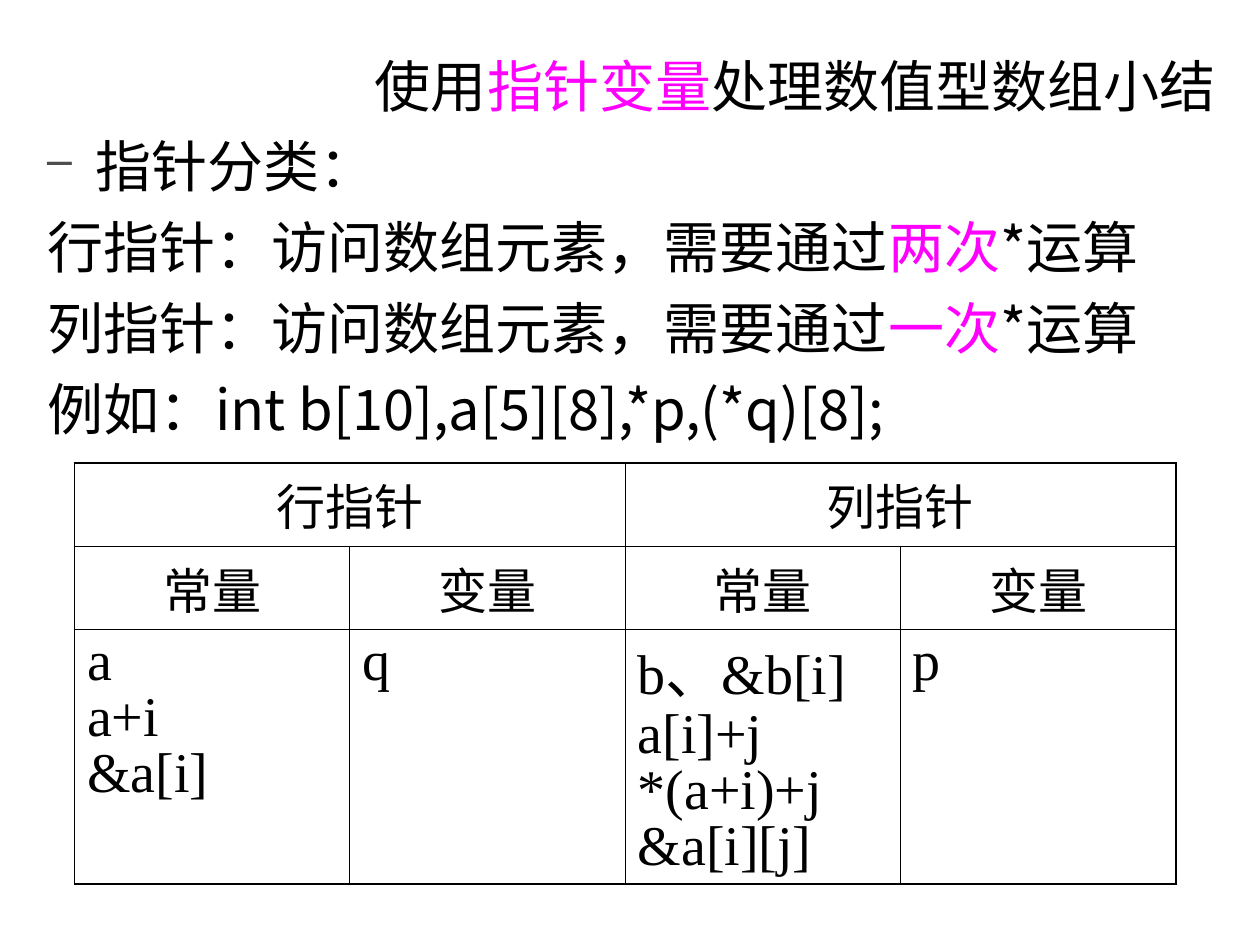
from lxml.etree import SubElement
from pptx import Presentation
from pptx.dml.color import RGBColor
from pptx.enum.text import MSO_ANCHOR, PP_ALIGN
from pptx.oxml.ns import qn
from pptx.util import Cm, Pt

BLACK = RGBColor(0x00, 0x00, 0x00)
MAGENTA = RGBColor(0xFF, 0x00, 0xFF)
GREY = RGBColor(0x4D, 0x4D, 0x4D)
SANS = "Noto Sans CJK SC"
SERIF = "Times New Roman"
OUTER, INNER = 1.08, 0.45


def add_span(para, text, *, size=32, font=SANS, color=BLACK):
    span = para.add_run()
    span.text = text
    span.font.size = Pt(size)
    span.font.name = font
    span.font.color.rgb = color
    SubElement(span._r.get_or_add_rPr(), qn("a:ea")).set("typeface", SANS)


def next_para(frame, index):
    return frame.add_paragraph() if index else frame.paragraphs[0]


def set_hanging(para, bullet=None):
    props = para._p.get_or_add_pPr()
    props.set("marL", str(Cm(0.97)))
    props.set("indent", str(-Cm(0.97)))
    if bullet:
        color = SubElement(props, qn("a:buClr"))
        SubElement(color, qn("a:srgbClr")).set("val", str(GREY))
        SubElement(props, qn("a:buSzPct")).set("val", "80000")
        SubElement(props, qn("a:buChar")).set("char", bullet)
    else:
        SubElement(props, qn("a:buNone"))


def add_title(page, left, top, width, height):
    box = page.shapes.add_textbox(left, top, width, height)
    frame = box.text_frame
    frame.word_wrap = True
    frame.margin_right = 0
    para = frame.paragraphs[0]
    add_span(para, "使用", font=SERIF)
    add_span(para, "指针变量", font=SERIF, color=MAGENTA)
    add_span(para, "处理数值型数组小结", font=SERIF)


def add_body(page, left, top, width, height):
    lines = [
        ["指针分类："],
        ["行指针：访问数组元素，需要通过", "两次", "*运算"],
        ["列指针：访问数组元素，需要通过", "一次", "*运算"],
        ["例如：int b[10],a[5][8],*p,(*q)[8];"],
    ]
    box = page.shapes.add_textbox(left, top, width, height)
    frame = box.text_frame
    frame.word_wrap = True
    frame.vertical_anchor = MSO_ANCHOR.TOP
    for index, parts in enumerate(lines):
        para = next_para(frame, index)
        set_hanging(para, bullet=None if index else "–")
        if index:
            para.space_before = Pt(8)
        for position, text in enumerate(parts):
            add_span(para, text, color=MAGENTA if position == 1 else BLACK)


def set_borders(cell, widths):
    props = cell._tc.get_or_add_tcPr()
    for side, width in zip("LRTB", widths):
        line = SubElement(props, qn(f"a:ln{side}"))
        line.set("w", str(Pt(width)))
        fill = SubElement(line, qn("a:solidFill"))
        SubElement(fill, qn("a:srgbClr")).set("val", str(BLACK))


def fill_cell(cell, lines, *, heading):
    for index, text in enumerate(lines):
        para = next_para(cell.text_frame, index)
        if heading:
            para.alignment = PP_ALIGN.CENTER
        else:
            para.line_spacing = 0.9
        add_span(para, text, size=28 if heading else 32, font=SERIF)


def add_pointer_table(page, left, top, width, row_heights):
    rows = [
        [["行指针"], [], ["列指针"], []],
        [["常量"], ["变量"], ["常量"], ["变量"]],
        [
            ["a", "a+i", "&a[i]"],
            ["q"],
            ["b、&b[i]", "a[i]+j", "*(a+i)+j", "&a[i][j]"],
            ["p"],
        ],
    ]
    last_row, last_column = len(rows) - 1, len(rows[0]) - 1
    frame = page.shapes.add_table(
        len(rows), len(rows[0]), left, top, width, sum(row_heights)
    )
    table = frame.table
    table.first_row = False
    table.horz_banding = False
    for row, height in zip(table.rows, row_heights):
        row.height = height
    for column in table.columns:
        column.width = width // len(rows[0])
    for c in (0, 2):
        table.cell(0, c).merge(table.cell(0, c + 1))
    for r, row in enumerate(rows):
        for c, lines in enumerate(row):
            cell = table.cell(r, c)
            right = c + cell.span_width - 1 if cell.is_merge_origin else c
            edges = (c == 0, right == last_column, r == 0, r == last_row)
            set_borders(cell, [OUTER if edge else INNER for edge in edges])
            cell.fill.background()
            fill_cell(cell, lines, heading=r < last_row)


def main():
    deck = Presentation()
    deck.slide_width, deck.slide_height = Cm(25.4), Cm(19.05)
    page = deck.slides.add_slide(deck.slide_layouts[6])
    add_body(page, Cm(0.7), Cm(2.52), Cm(23.8), Cm(8.41))
    add_pointer_table(
        page, Cm(1.5), Cm(9.33), Cm(22.2), [Cm(1.68), Cm(1.68), Cm(5.13)]
    )
    add_title(page, Cm(7.31), Cm(0.91), Cm(17.45), Cm(1.63))
    deck.save("out.pptx")


if __name__ == "__main__":
    main()
